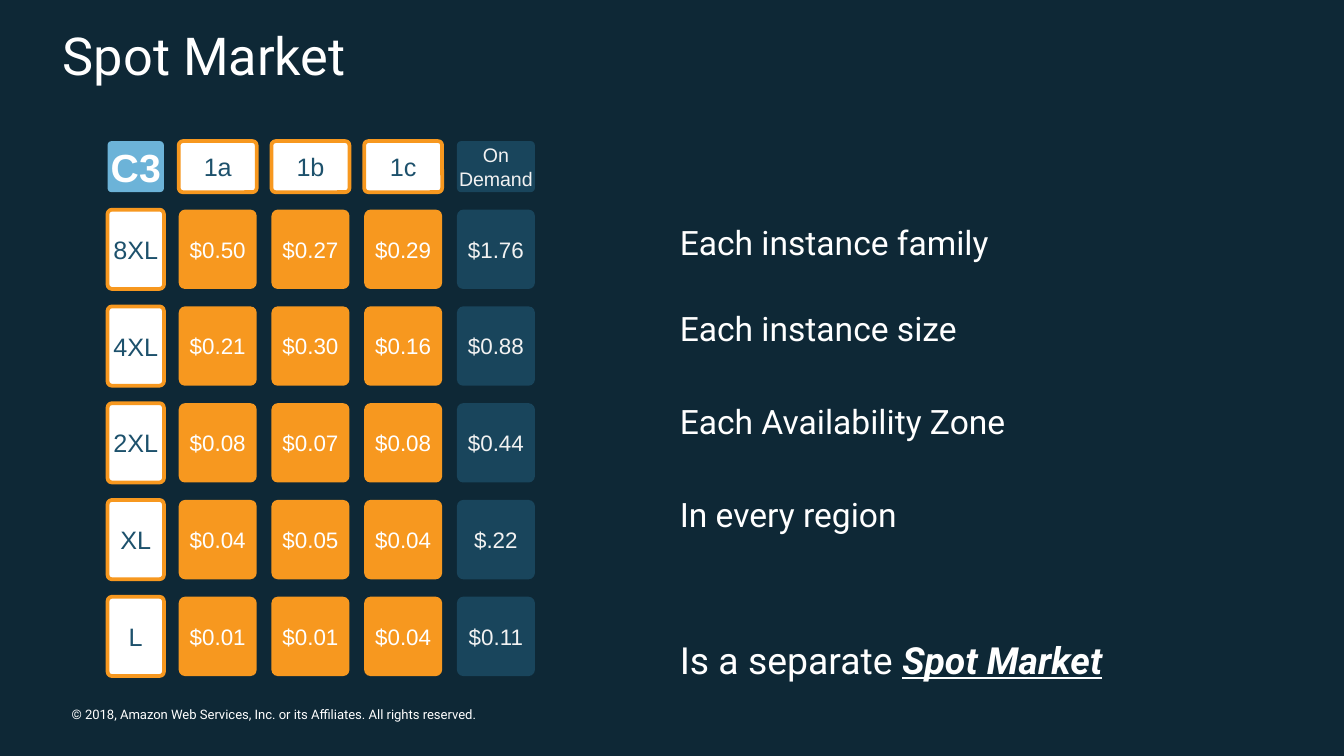
from pptx import Presentation
from pptx.dml.color import RGBColor
from pptx.enum.shapes import MSO_SHAPE
from pptx.enum.text import MSO_ANCHOR, PP_ALIGN
from pptx.util import Inches, Pt

ROUNDED = MSO_SHAPE.ROUNDED_RECTANGLE
MIDDLE = MSO_ANCHOR.MIDDLE
CENTER = PP_ALIGN.CENTER
LEFT = PP_ALIGN.LEFT

WIDTH = 10
HEIGHT = WIDTH * 9 / 16
NAVY, TEAL, SKY = "0E2836", "19455C", "6CB3D8"
ORANGE, WHITE, PALE, INK = "F7981F", "FFFFFF", "F2F2F2", "1D516C"

ZONES = ["1a", "1b", "1c"]
PRICES = {
    "8XL": ["$0.50", "$0.27", "$0.29", "$1.76"],
    "4XL": ["$0.21", "$0.30", "$0.16", "$0.88"],
    "2XL": ["$0.08", "$0.07", "$0.08", "$0.44"],
    "XL": ["$0.04", "$0.05", "$0.04", "$.22"],
    "L": ["$0.01", "$0.01", "$0.04", "$0.11"],
}
STATEMENTS = {
    "Each instance family": 28.44,
    "Each instance size": 39.85,
    "Each Availability Zone": 52.14,
    "In every region": 64.41,
}


def color(value):
    return RGBColor.from_string(value)


def write(paragraph, text, size=18, font="Roboto", ink=WHITE, align=LEFT,
          bold=False, italic=False, underline=False):
    paragraph.alignment = align
    run = paragraph.add_run()
    run.text = text
    run.font.size = Pt(size)
    run.font.name = font
    run.font.color.rgb = color(ink)
    run.font.bold = bold
    run.font.italic = italic
    run.font.underline = underline


class PriceSlide:
    def __init__(self, presentation):
        self.slide = presentation.slides.add_slide(presentation.slide_layouts[6])
        background = self.slide.background.fill
        background.solid()
        background.fore_color.rgb = color(NAVY)

    def column(self, index):
        return (0.8, 0.42) if index == 0 else (1.33 + 0.69 * (index - 1), 0.58)

    def row(self, index):
        return (1.05, 0.38) if index == 0 else (1.56 + 0.72 * (index - 1), 0.59)

    def tile(self, column, row, lines, fill, border=None, **style):
        left, width = self.column(column)
        top, height = self.row(row)
        tile = self.slide.shapes.add_shape(
            ROUNDED, Inches(left), Inches(top), Inches(width), Inches(height))
        tile.adjustments[0] = 0.08
        tile.shadow.inherit = False
        tile.fill.solid()
        tile.fill.fore_color.rgb = color(fill)
        if border:
            tile.line.color.rgb = color(border)
            tile.line.width = Pt(2)
        else:
            tile.line.fill.background()
        frame = tile.text_frame
        frame.word_wrap = True
        frame.vertical_anchor = MIDDLE
        frame.margin_left = frame.margin_right = 0
        frame.margin_top = frame.margin_bottom = 0
        for number, line in enumerate(lines):
            paragraph = frame.add_paragraph() if number else frame.paragraphs[0]
            write(paragraph, line, font="Arial", align=CENTER, **style)

    def label(self, column, row, text):
        self.tile(column, row, [text], WHITE, ORANGE, size=13.5, ink=INK)

    def text(self, left, top, width, height, runs, wrap=False, inset=True):
        box = self.slide.shapes.add_textbox(
            Inches(WIDTH * left / 100), Inches(HEIGHT * top / 100),
            Inches(WIDTH * width / 100), Inches(HEIGHT * height / 100))
        frame = box.text_frame
        frame.word_wrap = wrap
        if not inset:
            frame.margin_left = frame.margin_right = 0
            frame.margin_top = frame.margin_bottom = 0
        for content, style in runs:
            write(frame.paragraphs[0], content, **style)


def main():
    presentation = Presentation()
    presentation.slide_width = Inches(WIDTH)
    presentation.slide_height = Inches(HEIGHT)
    page = PriceSlide(presentation)

    page.text(3.7, 2.25, 93.1, 10.67, [("Spot Market", {"size": 28})], wrap=True)

    page.tile(0, 0, ["C3"], SKY, size=21, bold=True)
    for column, zone in enumerate(ZONES, start=1):
        page.label(column, 0, zone)
    page.tile(4, 0, ["On", "Demand"], TEAL, size=10.5, ink=PALE)

    for row, (size, prices) in enumerate(PRICES.items(), start=1):
        page.label(0, row, size)
        *spot_prices, on_demand = prices
        for column, price in enumerate(spot_prices, start=1):
            page.tile(column, row, [price], ORANGE, size=12)
        page.tile(4, row, [on_demand], TEAL, size=12, ink=PALE)

    for statement, top in STATEMENTS.items():
        page.text(49.6, top, 27.4, 7.11, [(statement, {})])
    page.text(49.6, 83.4, 35, 7.82, [
        ("Is a separate ", {"size": 20}),
        ("Spot Market", {"size": 20, "bold": True, "italic": True, "underline": True}),
    ])

    page.text(5.33, 93.4, 33.1, 2.13, [
        ("© 2018, Amazon Web Services, Inc. or its Affiliates. All rights reserved.",
         {"size": 7}),
    ], inset=False)

    presentation.save("out.pptx")


if __name__ == "__main__":
    main()
